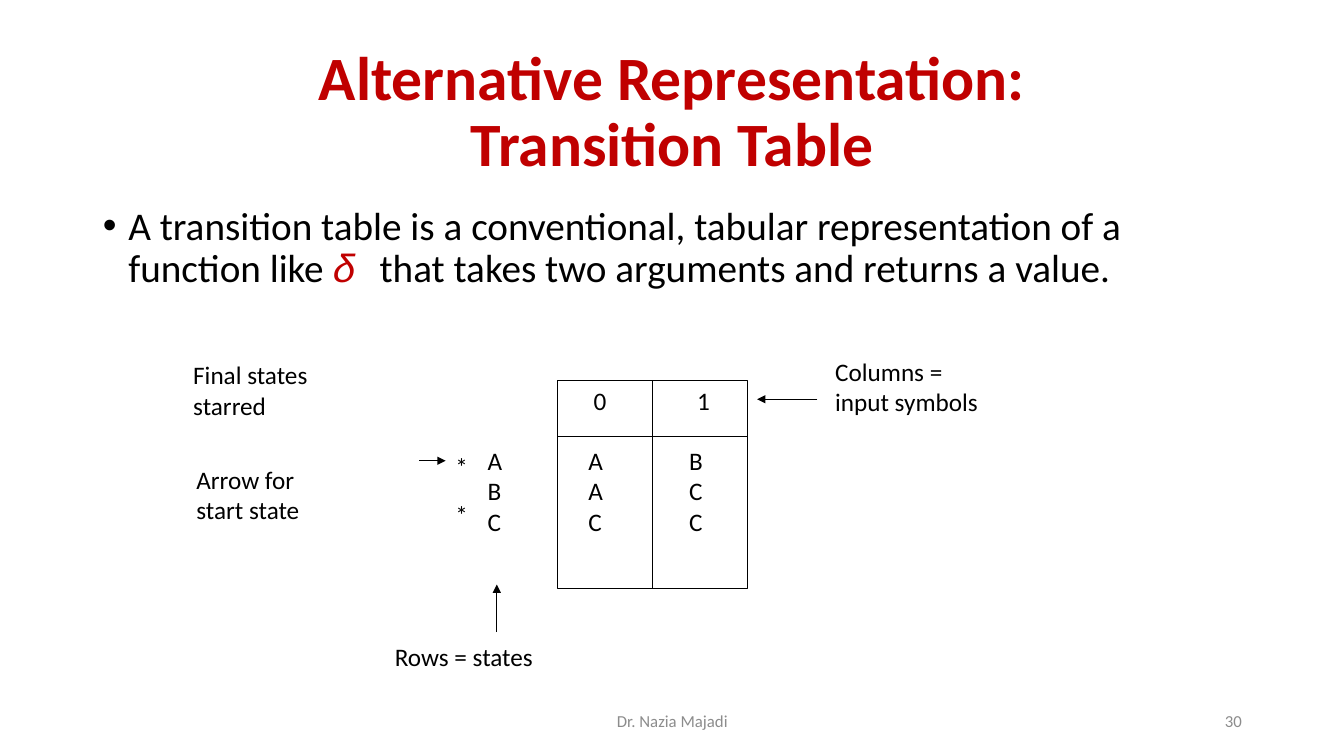
import pptx
import pptx.dml.color
import pptx.enum.shapes
import pptx.enum.text
import pptx.oxml
import pptx.oxml.ns
import pptx.util
from pptx.util import Cm

ALIGN = pptx.enum.text.PP_ALIGN
ANCHOR = pptx.enum.text.MSO_ANCHOR
BLACK, RED, GREY = "000000", "C00000", "8C8C8C"


def paint(font, size, color, name="Calibri"):
    font.size = pptx.util.Pt(size)
    font.name = name
    font.color.rgb = pptx.dml.color.RGBColor.from_string(color)


def add_element(parent, xml):
    element = pptx.oxml.parse_xml(xml.replace("/>", " %s/>" % pptx.oxml.ns.nsdecls("a"), 1)
                                  if xml.endswith("/>") and xml.count("<") == 1
                                  else xml.replace(">", " %s>" % pptx.oxml.ns.nsdecls("a"), 1))
    parent.append(element)


deck = pptx.Presentation()
deck.slide_width, deck.slide_height = Cm(33.87), Cm(19.05)
slide = deck.slides.add_slide(deck.slide_layouts[1])

# Title
title = slide.shapes.title
title.left, title.top, title.width, title.height = Cm(2.34), Cm(1.02), Cm(29.21), Cm(3.68)
title.text_frame.auto_size = pptx.enum.text.MSO_AUTO_SIZE.NONE
title.text_frame.vertical_anchor = ANCHOR.MIDDLE
heading = title.text_frame.paragraphs[0]
heading.alignment = ALIGN.CENTER
heading.line_spacing = 0.9
for number, words in enumerate(["Alternative Representation:", "Transition Table"]):
    if number:
        heading.add_line_break()
    run = heading.add_run()
    run.text = words
    paint(run.font, 44, RED)
    run.font.bold = True

# Definition
definition = slide.placeholders[1]
definition.left, definition.top, definition.width, definition.height = (
    Cm(2.34), Cm(5.08), Cm(29.21), Cm(3.07))
definition.text_frame.auto_size = pptx.enum.text.MSO_AUTO_SIZE.NONE
sentence = definition.text_frame.paragraphs[0]
sentence.line_spacing = 0.9
sentence.space_before = pptx.util.Pt(0)
bullet = sentence._p.get_or_add_pPr()
bullet.set("marL", str(Cm(0.64)))
bullet.set("indent", str(-Cm(0.64)))
add_element(bullet, '<a:buFont typeface="Arial"/>')
add_element(bullet, '<a:buChar char="•"/>')
for words, color, name in [
    ("A transition table is a conventional, tabular representation of a function like ",
     BLACK, "Calibri"),
    ("δ ", RED, "Courier New"),
    ("that takes two arguments and returns a value.", BLACK, "Calibri"),
]:
    run = sentence.add_run()
    run.text = words
    paint(run.font, 28, color, name)
    run.font.italic = color == RED

# Frame of the transition table
frame = slide.shapes.add_shape(pptx.enum.shapes.MSO_SHAPE.RECTANGLE,
                               Cm(14.05), Cm(9.58), Cm(4.8), Cm(5.26))
frame.shadow.inherit = False
frame.fill.background()
frame.line.color.rgb = pptx.dml.color.RGBColor.from_string(BLACK)
frame.line.width = pptx.util.Pt(0.75)

# Rules of the table, then arrows: x1, y1, x2, y2, kind
for x1, y1, x2, y2, kind in [
    (14.05, 11, 18.85, 11, "header rule"),
    (16.45, 9.58, 16.45, 14.84, "column rule"),
    (12.52, 15.93, 12.52, 14.73, "arrow"),
    (20.6, 10.06, 19.08, 10.06, "arrow"),
    (10.57, 11.61, 11.23, 11.61, "arrow"),
]:
    line = slide.shapes.add_connector(pptx.enum.shapes.MSO_CONNECTOR.STRAIGHT,
                                      Cm(x1), Cm(y1), Cm(x2), Cm(y2))
    line.line.color.rgb = pptx.dml.color.RGBColor.from_string(BLACK)
    line.line.width = pptx.util.Pt(0.75)
    if kind == "column rule":
        line.begin_connect(frame, 0)
        line.end_connect(frame, 2)
    if kind == "arrow":
        add_element(line.line._get_or_add_ln(), '<a:tailEnd type="triangle"/>')
    add_element(line._element.spPr, "<a:effectLst/>")

# Table entries, labels and footer: left, top, width, height, lines
BODY = (18, BLACK, ALIGN.LEFT, ANCHOR.TOP)
for left, top, width, height, lines, (size, color, align, anchor) in [
    (14.71, 9.58, 1.02, 1.42, ["0"], BODY),
    (17.32, 9.58, 1.02, 1.42, ["1"], BODY),
    (12.04, 11.1, 6.27, 3.73, ["A\tA\tB", "B\tA\tC", "C\tC\tC"], BODY),
    (9.7, 16.03, 6.05, 1.42, ["Rows = states"], BODY),
    (20.8, 8.86, 5.84, 2.59, ["Columns =", "input symbols"], BODY),
    (4.62, 8.94, 4.88, 2.59, ["Final states", "starred"], BODY),
    (11.23, 11.25, 1.02, 1.42, ["*"], BODY),
    (11.23, 12.45, 1.02, 1.42, ["*"], BODY),
    (4.7, 11.58, 4.42, 2.59, ["Arrow for", "start state"], BODY),
    (11.23, 17.65, 11.43, 1.02, ["Dr. Nazia Majadi"], (12, GREY, ALIGN.CENTER, ANCHOR.MIDDLE)),
    (23.93, 17.65, 7.62, 1.02, ["30"], (12, GREY, ALIGN.RIGHT, ANCHOR.MIDDLE)),
]:
    label = slide.shapes.add_textbox(Cm(left), Cm(top), Cm(width), Cm(height)).text_frame
    label.word_wrap = True
    label.vertical_anchor = anchor
    for number, words in enumerate(lines):
        paragraph = label.add_paragraph() if number else label.paragraphs[0]
        paragraph.alignment = align
        if "\t" in words:
            add_element(paragraph._p.get_or_add_pPr(),
                        '<a:tabLst><a:tab pos="%d" algn="l"/><a:tab pos="%d" algn="l"/></a:tabLst>'
                        % (Cm(2.54), Cm(5.08)))
        run = paragraph.add_run()
        run.text = words
        paint(run.font, size, color)

deck.save("out.pptx")
